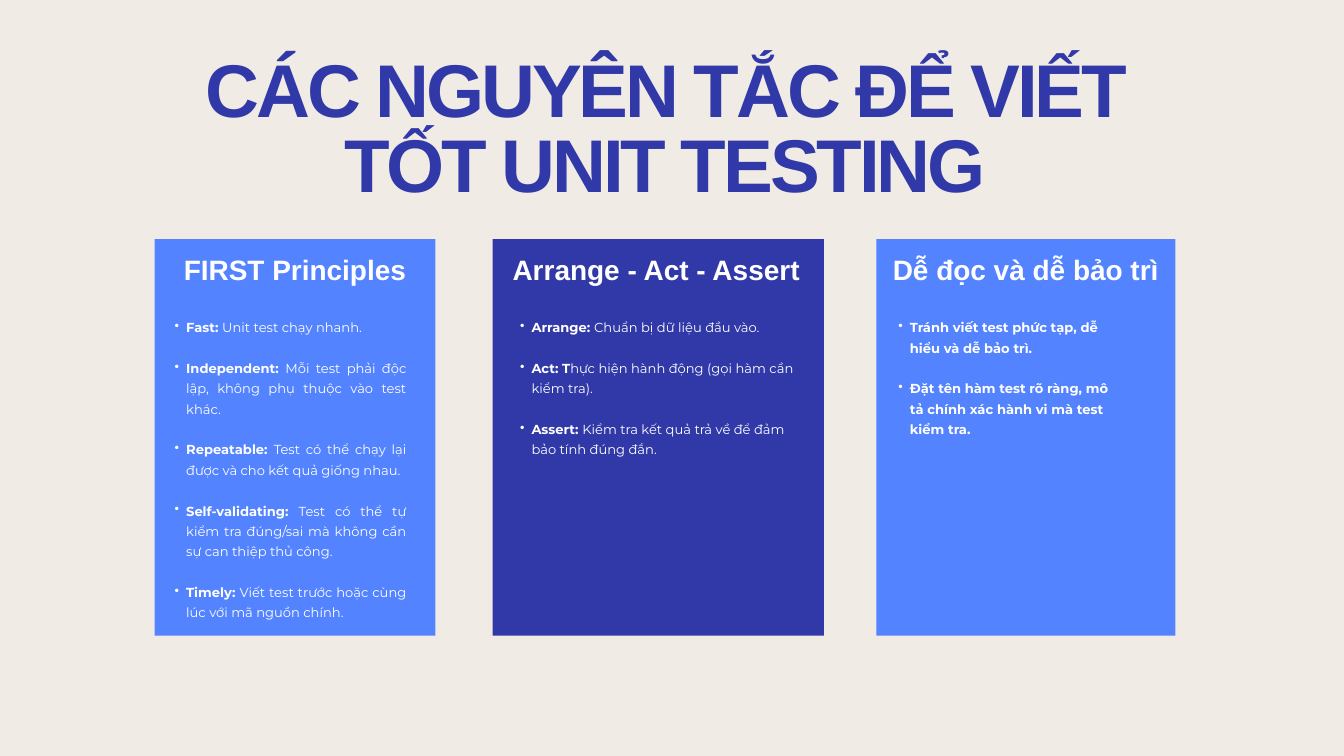
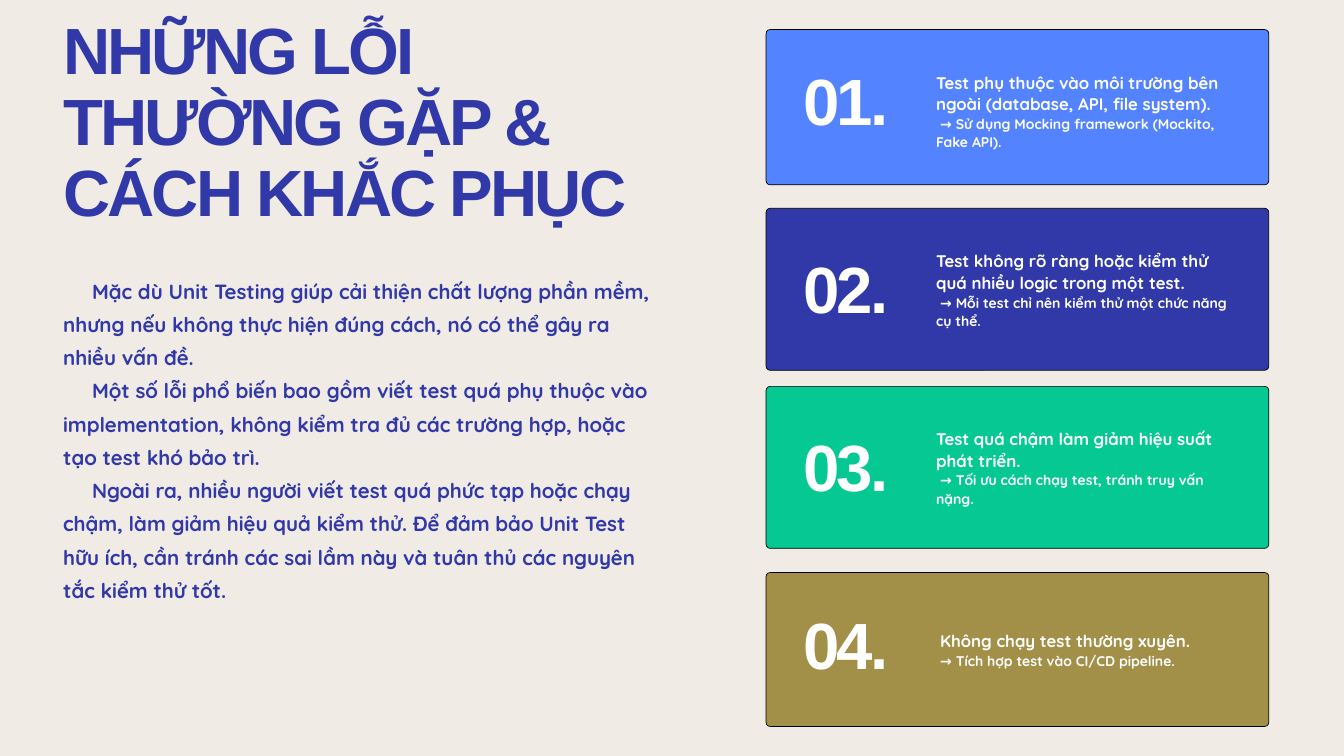
from dataclasses import dataclass, replace

from lxml import etree
from pptx import Presentation
from pptx.dml.color import RGBColor
from pptx.enum.shapes import MSO_SHAPE
from pptx.enum.text import MSO_AUTO_SIZE, PP_ALIGN
from pptx.oxml.ns import qn
from pptx.util import Emu, Inches, Pt

RECTANGLE = MSO_SHAPE.RECTANGLE
ROUNDED = MSO_SHAPE.ROUNDED_RECTANGLE
LEFT, CENTER, JUSTIFY = PP_ALIGN.LEFT, PP_ALIGN.CENTER, PP_ALIGN.JUSTIFY
GROW = MSO_AUTO_SIZE.SHAPE_TO_FIT_TEXT
COLUMNS, ROWS = 20, 11.25
CREAM, NAVY, BLUE = "F1EBE5", "3139A8", "5383FF"
GREEN, OLIVE, WHITE, BLACK = "06C892", "A39048", "FFFFFF", "000000"


def color(value):
    """Turn a hex string into a colour."""
    return RGBColor.from_string(value)


@dataclass(frozen=True)
class Style:
    """Describe how a paragraph looks, in points and inches."""
    size: float
    line: float
    font: str = "Arial"
    color: str = WHITE
    align: int = LEFT
    tracking: float = 0
    margin: float = 0
    indent: float = 0
    before: float = 0
    bullet: str = ""


TITLE = Style(80, 80, color=NAVY, align=CENTER, tracking=-3.4)
NUMBER = Style(70, 76.3, tracking=-2.9)
SIDE_TITLE = replace(NUMBER, color=NAVY)
HEADING = Style(30, 30.9, align=CENTER)
POINT = Style(14, 21.8, "Montserrat", margin=0.33, indent=-0.17, before=21.8, bullet="•")
INTRO = Style(22, 35.6, "Quicksand", NAVY, indent=0.43)
MISTAKE = Style(18, 23.4, "Quicksand")
REMEDY = Style(15, 19.5, "Quicksand", indent=0.06)


class Deck:
    """Hold the presentation, its grid and the current slide."""

    def __init__(self):
        """Start an empty deck of the right size."""
        self.file = Presentation()
        self.file.slide_width = Inches(COLUMNS)
        self.file.slide_height = Inches(ROWS)
        self.slide = None

    def new_slide(self):
        """Add a blank slide on the cream ground."""
        self.slide = self.file.slides.add_slide(self.file.slide_layouts[6])
        ground = self.slide.background.fill
        ground.solid()
        ground.fore_color.rgb = color(CREAM)

    def place(self, left, top, width, height):
        """Turn grid columns and rows into slide lengths."""
        column = self.file.slide_width / COLUMNS
        row = self.file.slide_height / ROWS
        return [Emu(round(length)) for length in
                (left * column, top * row, width * column, height * row)]

    def panel(self, left, top, width, height, fill, corner=0):
        """Draw a filled panel, outlined when its corners are round."""
        panel = self.slide.shapes.add_shape(
            ROUNDED if corner else RECTANGLE, *self.place(left, top, width, height))
        panel.shadow.inherit = False
        panel.fill.solid()
        panel.fill.fore_color.rgb = color(fill)
        if corner:
            panel.adjustments[0] = corner / height
            panel.line.color.rgb = color(BLACK)
            panel.line.width = Pt(0.75)
        else:
            panel.line.fill.background()

    def text(self, left, top, width, height, *lines):
        """Write lines, each a style followed by bold and then regular words."""
        frame = self.slide.shapes.add_textbox(
            *self.place(left, top, width, height)).text_frame
        frame.margin_left = frame.margin_right = 0
        frame.margin_top = frame.margin_bottom = 0
        frame.word_wrap = True
        frame.auto_size = GROW
        for index, (style, *words) in enumerate(lines):
            paragraph = frame.add_paragraph() if index else frame.paragraphs[0]
            self.format_paragraph(paragraph, style, index == 0)
            for order, part in enumerate(words):
                run = paragraph.add_run()
                run.text = part
                self.format_run(run, style, order == 0)

    def format_paragraph(self, paragraph, style, first):
        """Set alignment, spacing, indents and the bullet."""
        properties = paragraph._p.get_or_add_pPr()
        properties.set("marL", str(Inches(style.margin)))
        properties.set("indent", str(Inches(style.indent)))
        if style.bullet:
            paragraph.level = 1
            etree.SubElement(properties, qn("a:buChar"), char=style.bullet)
        paragraph.alignment = style.align
        paragraph.line_spacing = Pt(style.line)
        if style.before and not first:
            paragraph.space_before = Pt(style.before)

    def format_run(self, run, style, bold):
        """Set the font, colour and letter spacing."""
        run.font.name = style.font
        run.font.size = Pt(style.size)
        run.font.bold = bold
        run.font.color.rgb = color(style.color)
        if style.tracking:
            run._r.get_or_add_rPr().set("spc", str(round(style.tracking * 100)))


PRINCIPLES = [
    (2.3, 4.18, BLUE, (2.73, 3.32), (2.44, 3.61), JUSTIFY, "FIRST Principles", [
        ("Fast: ", "Unit test chạy nhanh."),
        ("Independent: ", "Mỗi test phải độc lập, không phụ thuộc vào test khác."),
        ("Repeatable: ", "Test có thể chạy lại được và cho kết quả giống nhau."),
        ("Self-validating: ",
         "Test có thể tự kiểm tra đúng/sai mà không cần sự can thiệp thủ công."),
        ("Timely: ", "Viết test trước hoặc cùng lúc với mã nguồn chính."),
    ]),
    (7.33, 4.93, NAVY, (7.58, 4.37), (7.58, 4.37), LEFT, "Arrange - Act - Assert", [
        ("Arrange: ", "Chuẩn bị dữ liệu đầu vào."),
        ("Act: T", "hực hiện hành động (gọi hàm cần kiểm tra)."),
        ("Assert: ", "Kiểm tra kết quả trả về để đảm bảo tính đúng đắn."),
    ]),
    (13.04, 4.45, BLUE, (13.21, 4.11), (13.21, 3.51), LEFT, "Dễ đọc và dễ bảo trì", [
        ("Tránh viết test phức tạp, dễ hiểu và dễ bảo trì.",),
        ("Đặt tên hàm test rõ ràng, mô tả chính xác hành vi mà test kiểm tra.",),
    ]),
]

REASONS = [
    "Mặc dù Unit Testing giúp cải thiện chất lượng phần mềm, nhưng nếu không "
    "thực hiện đúng cách, nó có thể gây ra nhiều vấn đề.",
    "Một số lỗi phổ biến bao gồm viết test quá phụ thuộc vào implementation, "
    "không kiểm tra đủ các trường hợp, hoặc tạo test khó bảo trì.",
    "Ngoài ra, nhiều người viết test quá phức tạp hoặc chạy chậm, làm giảm hiệu "
    "quả kiểm thử. Để đảm bảo Unit Test hữu ích, cần tránh các sai lầm này và "
    "tuân thủ các nguyên tắc kiểm thử tốt.",
]

MISTAKES = [
    (0.44, 2.31, BLUE, 1, 1.05, 1.19, MISTAKE,
     "Test phụ thuộc vào môi trường bên ngoài (database, API, file system).",
     "→ Sử dụng Mocking framework (Mockito, Fake API)."),
    (3.1, 2.41, NAVY, 3.8, 3.71, 1.19, MISTAKE,
     "Test không rõ ràng hoặc kiểm thử quá nhiều logic trong một test.",
     "→ Mỗi test chỉ nên kiểm thử một chức năng cụ thể."),
    (5.75, 2.41, GREEN, 6.45, 6.35, 1.19, MISTAKE,
     "Test quá chậm làm giảm hiệu suất phát triển.",
     "→ Tối ưu cách chạy test, tránh truy vấn nặng."),
    (8.52, 2.29, OLIVE, 9.1, 9.36, 0.59, replace(MISTAKE, indent=0.06),
     "Không chạy test thường xuyên.",
     "→ Tích hợp test vào CI/CD pipeline."),
]


def build_principles(deck):
    """Build the slide on the principles of good unit tests."""
    deck.new_slide()
    deck.text(2.3, 0.86, 15.19, 2.26, (TITLE, "CÁC NGUYÊN TẮC ĐỂ VIẾT TỐT UNIT TESTING"))
    for left, width, fill, heading_span, points_span, align, heading, points in PRINCIPLES:
        deck.panel(left, 3.56, width, 5.9, fill)
        heading_left, heading_width = heading_span
        deck.text(heading_left, 3.83, heading_width, 0.46, (HEADING, heading))
        points_left, points_width = points_span
        point_style = replace(POINT, align=align)
        deck.text(points_left, 4.69, points_width, len(points) * 0.91,
                  *[(point_style, *point) for point in points])


def build_mistakes(deck):
    """Build the slide on common mistakes and their remedies."""
    deck.new_slide()
    deck.text(0.94, 0.24, 8.67, 3.19, (SIDE_TITLE, "NHỮNG LỖI THƯỜNG GẶP & CÁCH KHẮC PHỤC"))
    deck.text(0.94, 4.02, 8.73, 4.87, *[(INTRO, reason) for reason in REASONS])
    for number, card in enumerate(MISTAKES, 1):
        top, height, fill, number_top, words_top, words_height, style, mistake, remedy = card
        deck.panel(11.4, top, 7.48, height, fill, corner=0.06)
        deck.text(11.95, number_top, 1.56, 1.09, (NUMBER, f"{number:02}."))
        deck.text(13.93, words_top, 4.4, words_height, (style, mistake), (REMEDY, remedy))


def main():
    """Build both slides and save them."""
    deck = Deck()
    build_principles(deck)
    build_mistakes(deck)
    deck.file.save("out.pptx")


if __name__ == "__main__":
    main()
